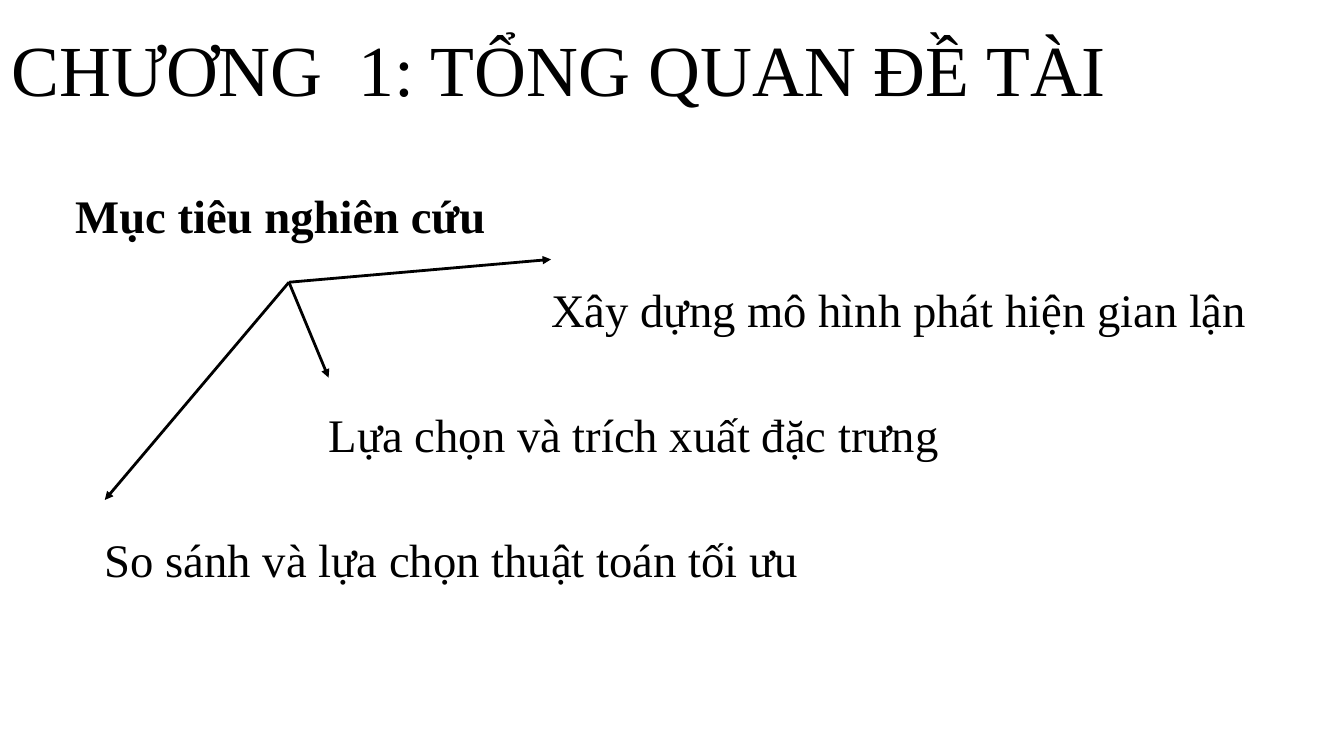
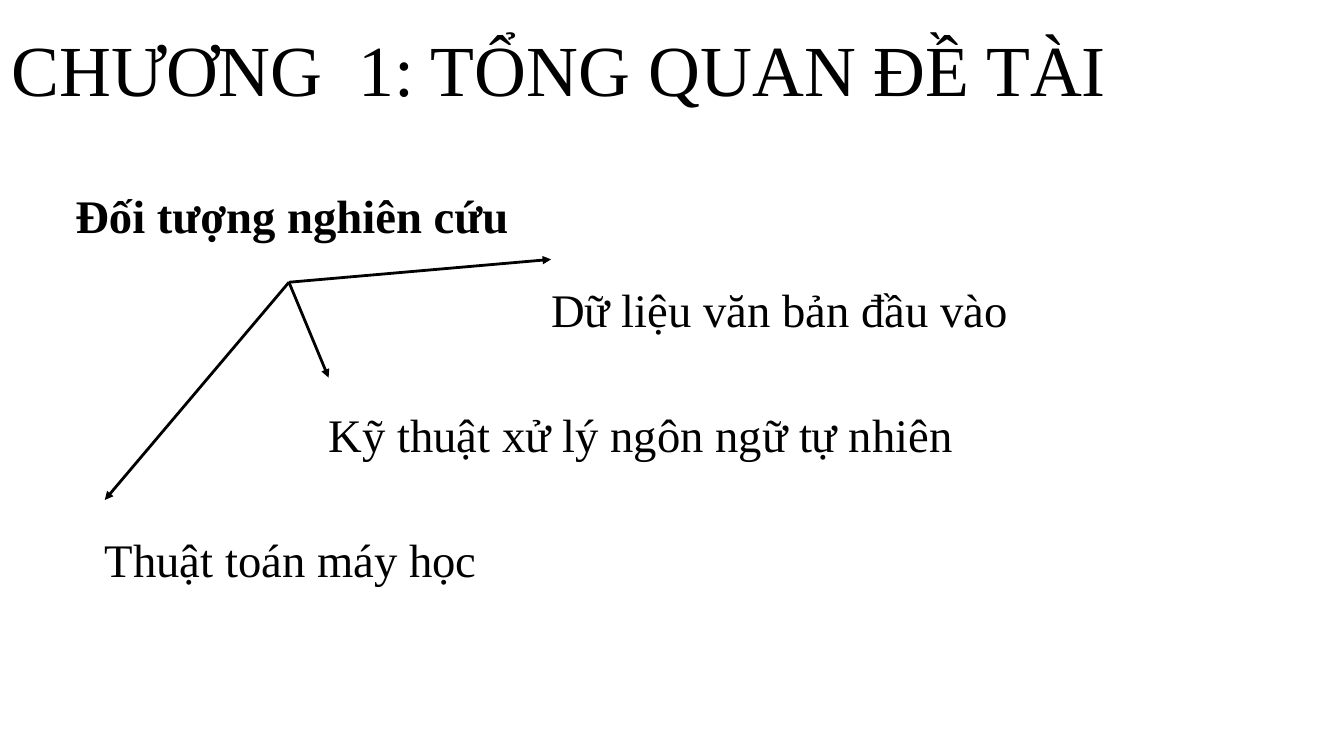
from lxml import etree
from pptx import Presentation
from pptx.dml.color import RGBColor
from pptx.enum import shapes, text
from pptx.oxml.ns import qn
from pptx.util import Inches, Pt

TITLE = "CHƯƠNG  1: TỔNG QUAN ĐỀ TÀI"
TOPICS = [
    ("Mục tiêu nghiên cứu", 6.36, [
        "Xây dựng mô hình phát hiện gian lận",
        "Lựa chọn và trích xuất đặc trưng",
        "So sánh và lựa chọn thuật toán tối ưu",
    ]),
    ("Đối tượng nghiên cứu", 7.08, [
        "Dữ liệu văn bản đầu vào",
        "Kỹ thuật xử lý ngôn ngữ tự nhiên",
        "Thuật toán máy học",
    ]),
]

FONT = "Times New Roman"
INK = "000000"
HUB = (4.3, 4.2)
ROW = 1.26
GOALS = [
    ((8.2, 3.77, 11.38, ROW), (8.2, 3.86)),
    ((4.89, 5.63, 10.22, ROW), (4.89, 5.62)),
    ((1.56, 7.48, 11.5, ROW), (1.56, 7.44)),
]


def color(code):
    return RGBColor.from_string(code)


def write(slide, words, area, size=50, lead=90, bold=False, shape=None):
    spot = [Inches(n) for n in area]
    if shape is None:
        shape = slide.shapes.add_textbox(*spot)
    else:
        shape.left, shape.top, shape.width, shape.height = spot
    frame = shape.text_frame
    frame.word_wrap = True
    frame.auto_size = text.MSO_AUTO_SIZE.SHAPE_TO_FIT_TEXT
    frame.vertical_anchor = text.MSO_ANCHOR.TOP
    frame.margin_left = frame.margin_right = 0
    frame.margin_top = frame.margin_bottom = 0
    para = frame.paragraphs[0]
    para.alignment = text.PP_ALIGN.LEFT
    para.line_spacing = Pt(lead)
    run = para.add_run()
    run.text = words
    run.font.name = FONT
    run.font.size = Pt(size)
    run.font.bold = bold
    run.font.color.rgb = color(INK)


def arrow(slide, start, end):
    ends = [Inches(n) for n in start + end]
    link = slide.shapes.add_connector(shapes.MSO_CONNECTOR.STRAIGHT, *ends)
    link.line.width = Pt(3)
    link.line.color.rgb = color(INK)
    props = link._element.spPr
    tip = etree.SubElement(props.find(qn("a:ln")), qn("a:tailEnd"))
    tip.set("type", "triangle")
    etree.SubElement(props, qn("a:effectLst"))


def build(deck, head, width, items):
    slide = deck.slides.add_slide(deck.slide_layouts[5])
    write(slide, TITLE, (0.17, 0.16, 17.81, 1.6), size=77, lead=107.7,
          shape=slide.shapes.title)
    write(slide, head, (1.12, 2.36, width, ROW), bold=True)
    for item, (area, _) in zip(items, GOALS):
        write(slide, item, area)
    for _, end in GOALS:
        arrow(slide, HUB, end)


def main():
    deck = Presentation()
    deck.slide_width = Inches(20)
    deck.slide_height = Inches(11.25)
    for topic in TOPICS:
        build(deck, *topic)
    deck.save("out.pptx")


if __name__ == "__main__":
    main()
